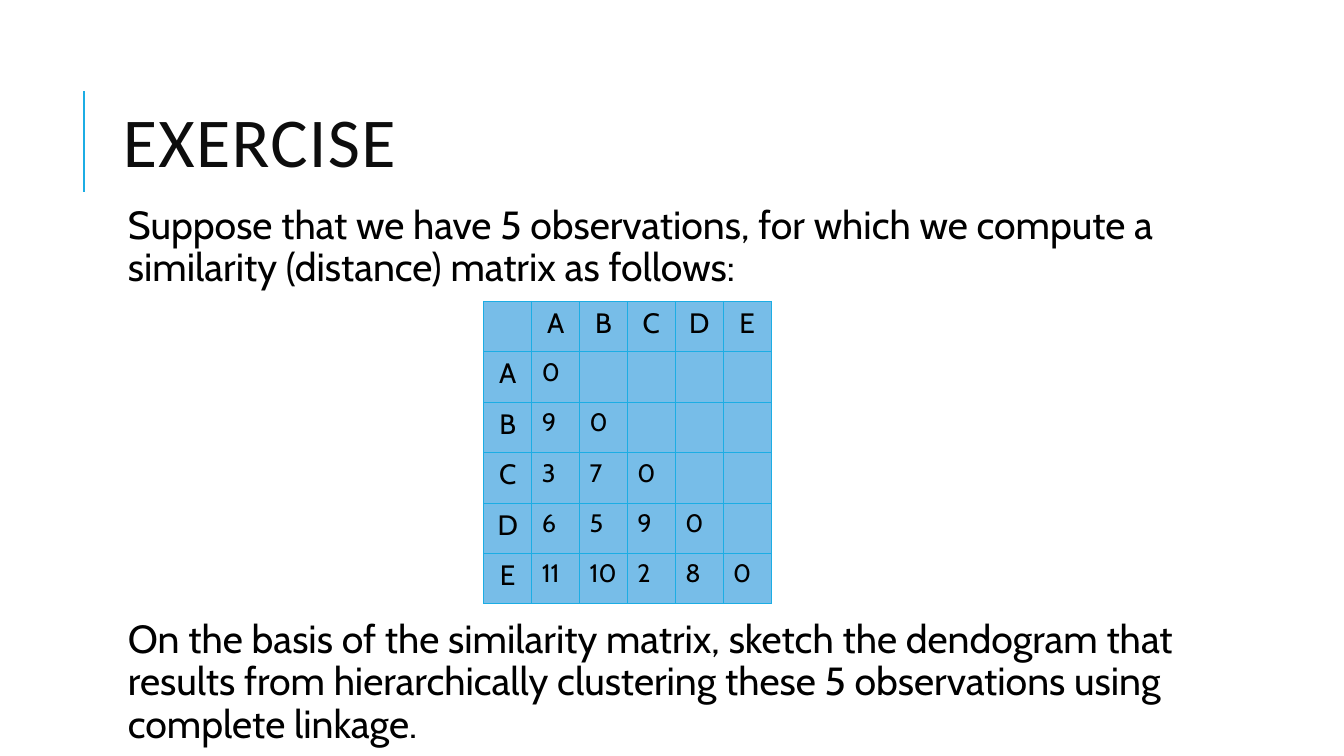
"""Build an exercise slide with a distance matrix for hierarchical clustering."""
from dataclasses import dataclass

from lxml import etree
from pptx import Presentation
from pptx.dml.color import RGBColor
from pptx.enum import shapes, text
from pptx.oxml import ns
from pptx.util import Pt

TITLE = "EXERCISE"
INTRO = ("Suppose that we have 5 observations, for which we compute a "
         "similarity (distance) matrix as follows:")
TASK = ("On the basis of the similarity matrix, sketch the dendogram that results from "
        "hierarchically clustering these 5 observations using complete linkage.")
LABELS = ["A", "B", "C", "D", "E"]
DISTANCES = [
    [0],
    [9, 0],
    [3, 7, 0],
    [6, 5, 9, 0],
    [11, 10, 2, 8, 0],
]


@dataclass(frozen=True)
class Theme:
    accent: str = "1CADE4"
    cell: str = "77BDE8"
    ink: str = "000000"
    title_ink: str = "0D0D0D"
    title_font: str = "Calibri"
    body_font: str = "Cabin"
    title_size: int = 50
    body_size: int = 28
    label_size: int = 20
    value_size: int = 18


THEME = Theme()
LEFT, WIDTH = 80.64, 765.36
TABLE_LEFT, TABLE_TOP, COLUMN, ROW = 345.6, 215.3, 34.2, 36


def add_span(para, words, size, font=THEME.body_font, color=THEME.ink):
    span = para.add_run()
    span.text = words
    span.font.size = Pt(size)
    span.font.name = font
    span.font.color.rgb = RGBColor.from_string(color)
    return span


def add_box(page, top, height, inset, spacing, anchor):
    box = page.shapes.add_textbox(Pt(LEFT), Pt(top), Pt(WIDTH), Pt(height))
    frame = box.text_frame
    frame.word_wrap = True
    frame.vertical_anchor = anchor
    frame.margin_left = Pt(inset)
    frame.margin_right = frame.margin_top = frame.margin_bottom = Pt(3.6)
    para = frame.paragraphs[0]
    para.line_spacing = spacing
    return para


def add_accent_line(page):
    line = page.shapes.add_connector(
        shapes.MSO_CONNECTOR.STRAIGHT, Pt(60), Pt(136.8), Pt(60), Pt(64.8))
    line.line.color.rgb = RGBColor.from_string(THEME.accent)
    line.line.width = Pt(1.5)
    etree.SubElement(line._element.spPr, ns.qn("a:effectLst"))


def style_cell(cell):
    properties = cell._tc.get_or_add_tcPr()
    for side in ("lnL", "lnR", "lnT", "lnB"):
        border = etree.SubElement(properties, ns.qn(f"a:{side}"), w=str(Pt(0.75)))
        fill = etree.SubElement(border, ns.qn("a:solidFill"))
        etree.SubElement(fill, ns.qn("a:srgbClr"), val=THEME.accent)
    cell.fill.solid()
    cell.fill.fore_color.rgb = RGBColor.from_string(THEME.cell)


def add_matrix(page):
    blanks = len(LABELS)
    rows = [[""] + LABELS]
    for label, values in zip(LABELS, DISTANCES):
        rows.append([label] + values + [""] * (blanks - len(values)))
    count = len(rows)
    table = page.shapes.add_table(count, count, Pt(TABLE_LEFT), Pt(TABLE_TOP),
                                  Pt(COLUMN * count), Pt(ROW * count)).table
    for column in table.columns:
        column.width = Pt(COLUMN)
    for i, values in enumerate(rows):
        table.rows[i].height = Pt(ROW)
        for j, value in enumerate(values):
            cell = table.cell(i, j)
            style_cell(cell)
            if value == "":
                continue
            para = cell.text_frame.paragraphs[0]
            is_label = i == 0 or j == 0
            if is_label:
                para.alignment = text.PP_ALIGN.CENTER
            add_span(para, str(value), THEME.label_size if is_label else THEME.value_size)


def main():
    deck = Presentation()
    deck.slide_width, deck.slide_height = Pt(960), Pt(540)
    page = deck.slides.add_slide(deck.slide_layouts[6])
    add_accent_line(page)
    heading = add_box(page, 46.08, 118.08, 7.2, 0.8, text.MSO_ANCHOR.MIDDLE)
    span = add_span(heading, TITLE, THEME.title_size, THEME.title_font, THEME.title_ink)
    span._r.get_or_add_rPr().set("spc", "100")
    for words, top, height in ((INTRO, 143.3, 70), (TASK, 439, 100)):
        para = add_box(page, top, height, 10.8, 0.9, text.MSO_ANCHOR.TOP)
        add_span(para, words, THEME.body_size)
    add_matrix(page)
    deck.save("out.pptx")


if __name__ == "__main__":
    main()
